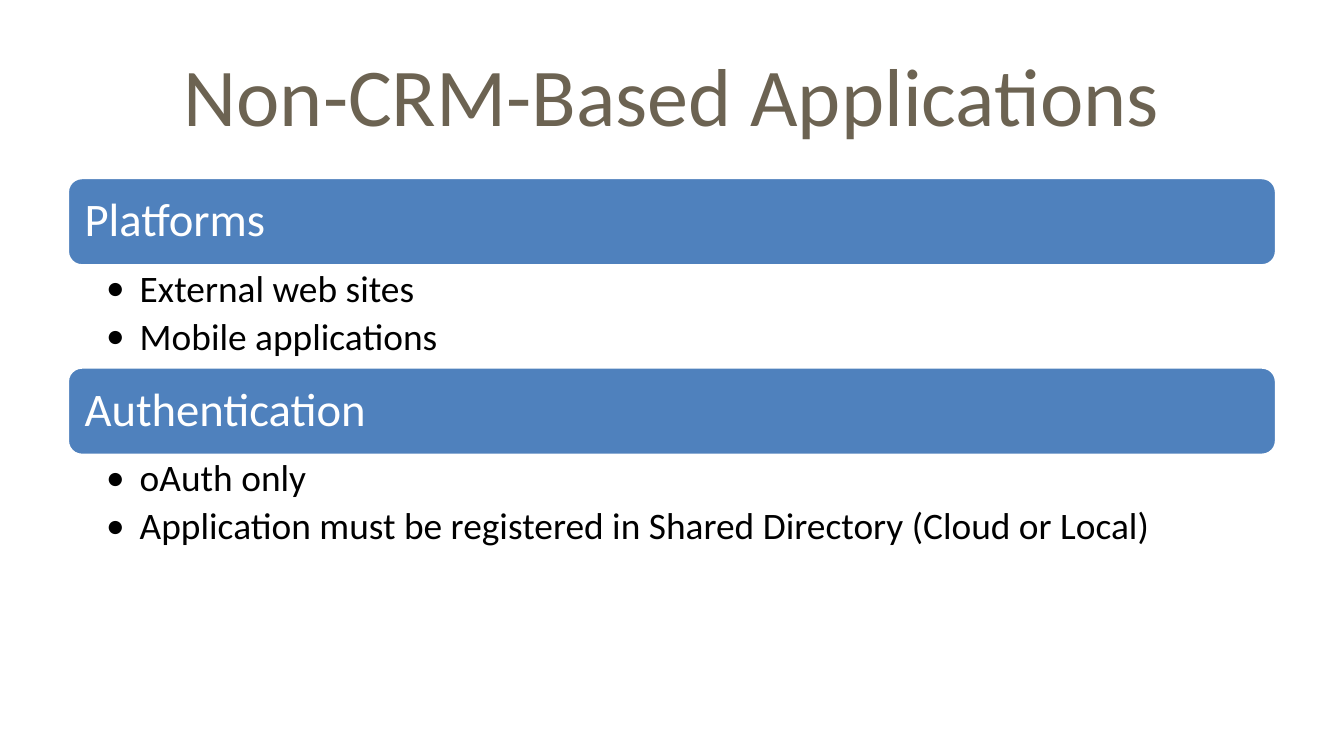
from dataclasses import dataclass

from lxml.etree import SubElement
from pptx import Presentation
from pptx.dml.color import RGBColor
from pptx.enum.shapes import MSO_SHAPE
from pptx.enum.text import MSO_ANCHOR, PP_ALIGN
from pptx.oxml.ns import qn
from pptx.slide import Slide
from pptx.text.text import TextFrame
from pptx.util import Inches, Pt

LEFT, WIDTH = 0.5, 9
FIRST_TOP = 1.32
BAR_HEIGHT, LIST_HEIGHT = 0.66, 0.75


@dataclass
class Section:
    heading: str
    points: list[str]


SECTIONS = [
    Section("Platforms", ["External web sites", "Mobile applications"]),
    Section("Authentication", [
        "oAuth only",
        "Application must be registered in Shared Directory (Cloud or Local)",
    ]),
]


def color(value: str) -> RGBColor:
    return RGBColor.from_string(value)


def set_frame(frame: TextFrame, anchor: MSO_ANCHOR, left: float, top: float,
              right: float, bottom: float) -> None:
    frame.word_wrap = True
    frame.vertical_anchor = anchor
    frame.margin_left, frame.margin_top = Inches(left), Inches(top)
    frame.margin_right, frame.margin_bottom = Inches(right), Inches(bottom)


def write(paragraph, text: str, size: float, hex_color: str,
          align: PP_ALIGN = PP_ALIGN.LEFT) -> None:
    paragraph.text = text
    paragraph.alignment = align
    paragraph.font.name = "Calibri"
    paragraph.font.size = Pt(size)
    paragraph.font.color.rgb = color(hex_color)


def add_title(slide: Slide, text: str) -> None:
    title = slide.shapes.add_textbox(
        Inches(LEFT), Inches(0.23), Inches(WIDTH), Inches(0.94))
    set_frame(title.text_frame, MSO_ANCHOR.MIDDLE, 0.1, 0.05, 0.1, 0.05)
    write(title.text_frame.paragraphs[0], text, 44, "6C6352", PP_ALIGN.CENTER)


def add_bar(slide: Slide, heading: str, top: float) -> None:
    bar = slide.shapes.add_shape(
        MSO_SHAPE.ROUNDED_RECTANGLE,
        Inches(LEFT), Inches(top), Inches(WIDTH), Inches(BAR_HEIGHT))
    bar.shadow.inherit = False
    bar.fill.solid()
    bar.fill.fore_color.rgb = color("4F81BD")
    bar.line.color.rgb = color("FFFFFF")
    bar.line.width = Pt(2)
    set_frame(bar.text_frame, MSO_ANCHOR.MIDDLE, 0.1, 0.1, 0.1, 0.1)
    paragraph = bar.text_frame.paragraphs[0]
    paragraph.line_spacing = 0.9
    write(paragraph, heading, 25, "FFFFFF")


def add_points(slide: Slide, points: list[str], top: float) -> None:
    box = slide.shapes.add_textbox(
        Inches(LEFT), Inches(top), Inches(WIDTH), Inches(LIST_HEIGHT))
    frame = box.text_frame
    set_frame(frame, MSO_ANCHOR.TOP, 0.29, 0.03, 0.19, 0.03)
    for index, point in enumerate(points):
        paragraph = frame.add_paragraph() if index else frame.paragraphs[0]
        paragraph.level = 1
        properties = paragraph._p.get_or_add_pPr()
        properties.set("marL", str(Inches(0.25)))
        properties.set("indent", str(Inches(-0.25)))
        SubElement(properties, qn("a:buFont"), typeface="Calibri")
        SubElement(properties, qn("a:buChar"), char="•")
        paragraph.line_spacing = 0.9
        paragraph.space_after = Pt(4)
        write(paragraph, point, 20, "000000")


def main() -> None:
    presentation = Presentation()
    presentation.slide_width = Inches(10)
    presentation.slide_height = Inches(10) * 9 // 16
    slide = presentation.slides.add_slide(presentation.slide_layouts[6])
    add_title(slide, "Non-CRM-Based Applications")
    for index, section in enumerate(SECTIONS):
        top = FIRST_TOP + index * (BAR_HEIGHT + LIST_HEIGHT)
        add_bar(slide, section.heading, top)
        add_points(slide, section.points, top + BAR_HEIGHT)
    presentation.save("out.pptx")


if __name__ == "__main__":
    main()
